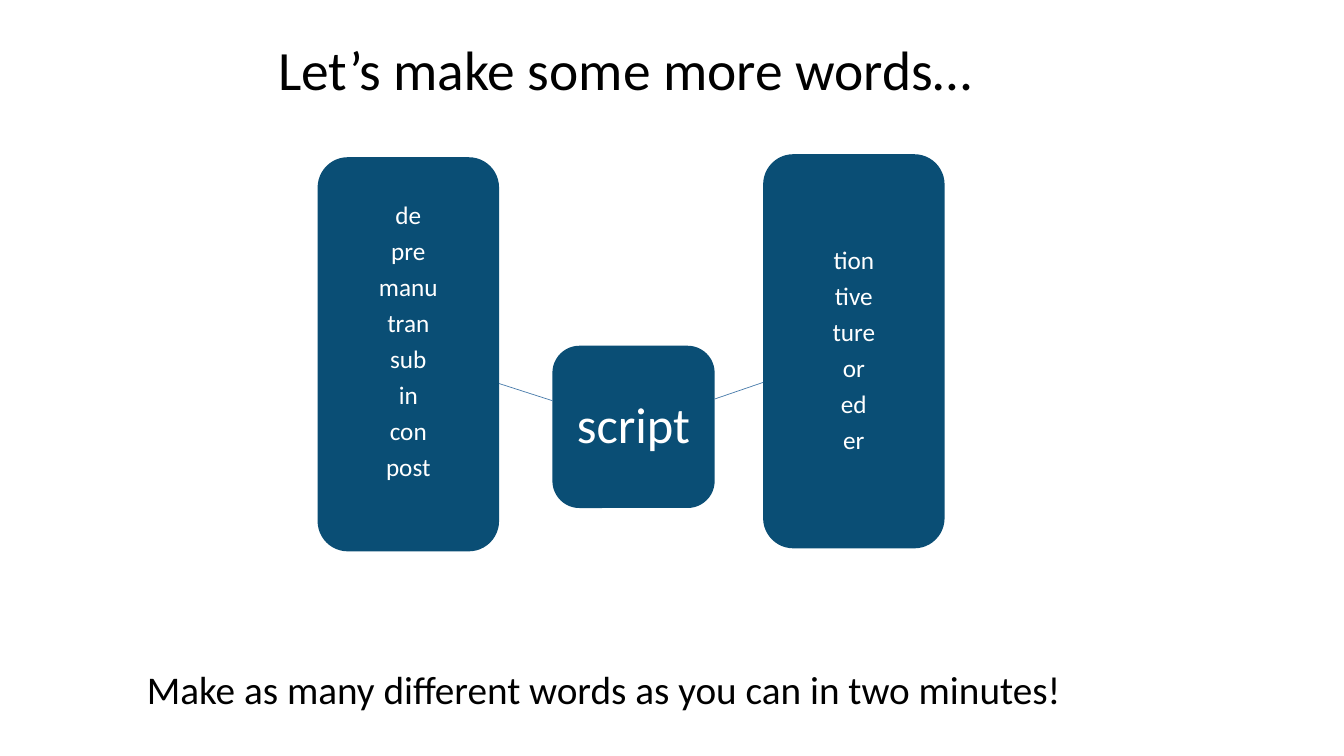
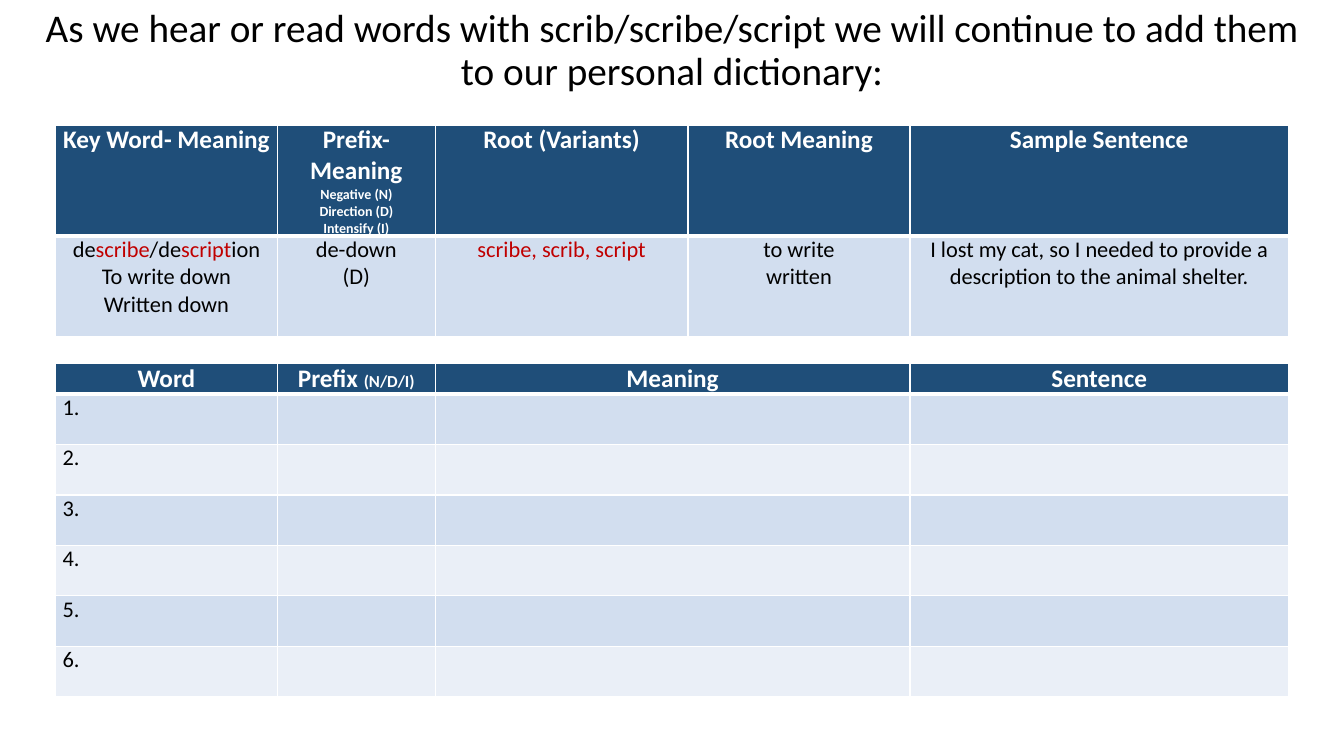
import dataclasses

import lxml.etree
import pptx
import pptx.dml.color
import pptx.enum.shapes
import pptx.enum.text
import pptx.oxml.ns
import pptx.util

RGBColor = pptx.dml.color.RGBColor
ALIGN = pptx.enum.text.PP_ALIGN
ANCHOR = pptx.enum.text.MSO_ANCHOR

BLACK = RGBColor(0x00, 0x00, 0x00)
WHITE = RGBColor(0xFF, 0xFF, 0xFF)
ROOT_RED = RGBColor(0xC0, 0x00, 0x00)
WEB_BLUE = RGBColor(0x0A, 0x4E, 0x75)
LINK_BLUE = RGBColor(0x49, 0x7C, 0xAB)
HEADER_BLUE = RGBColor(0x1F, 0x4E, 0x79)
BANDS = (RGBColor(0xD2, 0xDE, 0xEF), RGBColor(0xEA, 0xEF, 0xF7))

FONT = "Calibri"
TIGHT = 0.9
THIN_RULE, HEADER_RULE = 1, 3
COLUMN_SHARES = (18, 12.8, 20.5, 18, 30.7)

PREFIXES = ("de", "pre", "manu", "tran", "sub", "in", "con", "post")
SUFFIXES = ("tion", "tive", "ture", "or", "ed", "er")

SMALL = {"size": 10}
RED = {"color": ROOT_RED}
KEY_WORD_ROWS = (
    (
        ("Key Word- Meaning",),
        ("Prefix-Meaning", [("Negative (N)", SMALL)], [("Direction (D)", SMALL)],
         [("Intensify (I)", SMALL)]),
        ("Root (Variants)",),
        ("Root Meaning",),
        ("Sample Sentence",),
    ),
    (
        ([("de", {}), ("scribe", RED), ("/de", {}), ("script", RED), ("ion", {})],
         "To write down", "Written down"),
        ("de-down", "(D)"),
        ([("scribe, scrib, script", RED)],),
        ("to write", "written"),
        ("I lost my cat, so I needed to provide a description to the animal shelter.",),
    ),
)
DICTIONARY_HEADER = (
    ("Word",),
    ([("Prefix ", {}), ("(N/D/I)", {"size": 12})],),
    ("Meaning",),
    ("Sentence",),
)
DICTIONARY_ROWS = (DICTIONARY_HEADER,) + tuple(
    ((f"{number}.",), (), (), ()) for number in range(1, 7))


@dataclasses.dataclass(frozen=True)
class Box:
    """A rectangle that hands out areas of itself by percent."""
    left: int
    top: int
    width: int
    height: int

    def inner(self, left, top, width, height):
        """Return the inner box at the given percentages."""
        return Box(self.left + round(self.width * left / 100),
                   self.top + round(self.height * top / 100),
                   round(self.width * width / 100),
                   round(self.height * height / 100))

    @property
    def frame(self):
        """Return left, top, width and height."""
        return self.left, self.top, self.width, self.height

    @property
    def center(self):
        """Return the middle point."""
        return self.left + self.width / 2, self.top + self.height / 2


def write_text(text_frame, paragraphs, size=18, color=BLACK, bold=False,
               align=ALIGN.LEFT, line_spacing=None, space_after=0):
    """Fill a text frame with paragraphs of plain text or formatted runs."""
    for index, content in enumerate(paragraphs):
        paragraph = text_frame.add_paragraph() if index else text_frame.paragraphs[0]
        paragraph.alignment = align
        paragraph.line_spacing = line_spacing
        paragraph.space_after = pptx.util.Pt(space_after)
        runs = [(content, {})] if isinstance(content, str) else content
        for text, changes in runs:
            for line_index, line in enumerate(text.split("\n")):
                if line_index:
                    paragraph.add_line_break()
                run = paragraph.add_run()
                run.text = line
                run.font.name = FONT
                run.font.size = pptx.util.Pt(changes.get("size", size))
                run.font.bold = bold
                run.font.color.rgb = changes.get("color", color)


def add_caption(slide, box, text, **text_format):
    """Place a title or a prompt, centred vertically in its box."""
    text_frame = slide.shapes.add_textbox(*box.frame).text_frame
    text_frame.word_wrap = True
    text_frame.vertical_anchor = ANCHOR.MIDDLE
    write_text(text_frame, [text], line_spacing=TIGHT, **text_format)


def add_word_box(slide, box, words, size=18, inset=0.05, bottom_inset=0.05):
    """Place a rounded box holding a list of word parts."""
    word_box = slide.shapes.add_shape(
        pptx.enum.shapes.MSO_SHAPE.ROUNDED_RECTANGLE, *box.frame)
    word_box.shadow.inherit = False
    word_box.fill.solid()
    word_box.fill.fore_color.rgb = WEB_BLUE
    word_box.line.fill.background()
    text_frame = word_box.text_frame
    text_frame.word_wrap = True
    text_frame.vertical_anchor = ANCHOR.MIDDLE
    text_frame.margin_left = text_frame.margin_right = pptx.util.Inches(inset)
    text_frame.margin_top = pptx.util.Inches(inset)
    text_frame.margin_bottom = pptx.util.Inches(bottom_inset)
    write_text(text_frame, words, size=size, color=WHITE, align=ALIGN.CENTER,
               line_spacing=TIGHT, space_after=round(size * 0.35, 1))


def add_link(slide, left_box, right_box):
    """Draw the stretch of the centre-to-centre line that lies between two boxes."""
    (left_x, left_y), (right_x, right_y) = left_box.center, right_box.center
    slope = (right_y - left_y) / (right_x - left_x)
    start_x, end_x = left_box.left + left_box.width, right_box.left
    start_y, end_y = (round(left_y + slope * (x - left_x)) for x in (start_x, end_x))
    link = slide.shapes.add_connector(
        pptx.enum.shapes.MSO_CONNECTOR.STRAIGHT, start_x, start_y, end_x, end_y)
    link.line.color.rgb = LINK_BLUE
    link.line.width = pptx.util.Pt(0.5)
    lxml.etree.SubElement(link.element.spPr, pptx.oxml.ns.qn("a:effectLst"))


def add_word_web(slide, box):
    """Place prefixes, root and suffixes with their links."""
    prefix_box = box.inner(0, 0.76, 28.94, 99.24)
    root_box = box.inner(37.46, 48.22, 25.88, 40.86)
    suffix_box = box.inner(71.06, 0, 28.94, 99.24)
    add_word_box(slide, root_box, ["script"], size=36, inset=0.1, bottom_inset=0.1)
    add_word_box(slide, suffix_box, SUFFIXES)
    add_word_box(slide, prefix_box, PREFIXES, bottom_inset=0.29)
    add_link(slide, prefix_box, root_box)
    add_link(slide, root_box, suffix_box)


def rule_cell(cell, top, bottom):
    """Give a cell white borders with the given top and bottom widths."""
    qn = pptx.oxml.ns.qn
    properties = cell._tc.get_or_add_tcPr()
    widths = (("a:lnL", THIN_RULE), ("a:lnR", THIN_RULE), ("a:lnT", top), ("a:lnB", bottom))
    for position, (tag, width) in enumerate(widths):
        border = lxml.etree.Element(qn(tag), w=str(pptx.util.Pt(width)))
        fill = lxml.etree.SubElement(border, qn("a:solidFill"))
        lxml.etree.SubElement(fill, qn("a:srgbClr"), val=str(WHITE))
        properties.insert(position, border)


def add_word_table(slide, box, rows, column_shares, row_shares, body_align):
    """Place a table with a dark header and banded body rows."""
    table = slide.shapes.add_table(len(rows), len(column_shares), *box.frame).table
    table.first_row = table.horz_banding = False
    for column, share in zip(table.columns, column_shares):
        column.width = round(box.width * share / sum(column_shares))
    for row, share in zip(table.rows, row_shares):
        row.height = round(box.height * share / sum(row_shares))
    for row_index, row in enumerate(rows):
        is_header = row_index == 0
        if is_header:
            text_format = {"size": 18, "color": WHITE, "bold": True, "align": ALIGN.CENTER}
        else:
            text_format = {"size": 16, "align": body_align}
        for column_index, paragraphs in enumerate(row):
            cell = table.cell(row_index, column_index)
            cell.margin_left = cell.margin_right = pptx.util.Inches(0.07)
            cell.margin_top = cell.margin_bottom = 0
            cell.fill.solid()
            cell.fill.fore_color.rgb = HEADER_BLUE if is_header else BANDS[(row_index - 1) % 2]
            rule_cell(cell, HEADER_RULE if row_index == 1 else THIN_RULE,
                      HEADER_RULE if is_header else THIN_RULE)
            write_text(cell.text_frame, paragraphs, **text_format)


def build_word_web_slide(slide, page):
    """Build the slide that combines word parts around a root."""
    add_caption(slide, page.inner(19.95, 1.33, 53.4, 16.67),
                "Let’s make some more words…", size=39.6)
    add_word_web(slide, page.inner(23.63, 20.4, 46.65, 52.53))
    add_caption(slide, page.inner(10.2, 87.33, 72.98, 8.4),
                "Make as many different words as you can in two minutes!", size=28)


def build_dictionary_slide(slide, page):
    """Build the slide with the key word and the personal dictionary."""
    add_caption(slide, page.inner(0, 0, 100, 13.6),
                "As we hear or read words with scrib/scribe/script we will continue "
                "to add them\nto our personal dictionary:",
                size=28, align=ALIGN.CENTER)
    word, prefix, root, meaning, sentence = COLUMN_SHARES
    add_word_table(slide, page.inner(4.13, 16.53, 91.75, 28), KEY_WORD_ROWS,
                   COLUMN_SHARES, (11, 10), ALIGN.CENTER)
    add_word_table(slide, page.inner(4.13, 48.13, 91.75, 44), DICTIONARY_ROWS,
                   (word, prefix, root + meaning, sentence), (3,) + (5,) * 6, ALIGN.LEFT)


def main():
    """Build and save the presentation."""
    presentation = pptx.Presentation()
    presentation.slide_width = pptx.util.Inches(13.33)
    presentation.slide_height = pptx.util.Inches(7.5)
    page = Box(0, 0, presentation.slide_width, presentation.slide_height)
    blank_layout = presentation.slide_layouts[6]
    for build_slide in (build_word_web_slide, build_dictionary_slide):
        build_slide(presentation.slides.add_slide(blank_layout), page)
    presentation.save("out.pptx")


if __name__ == "__main__":
    main()
